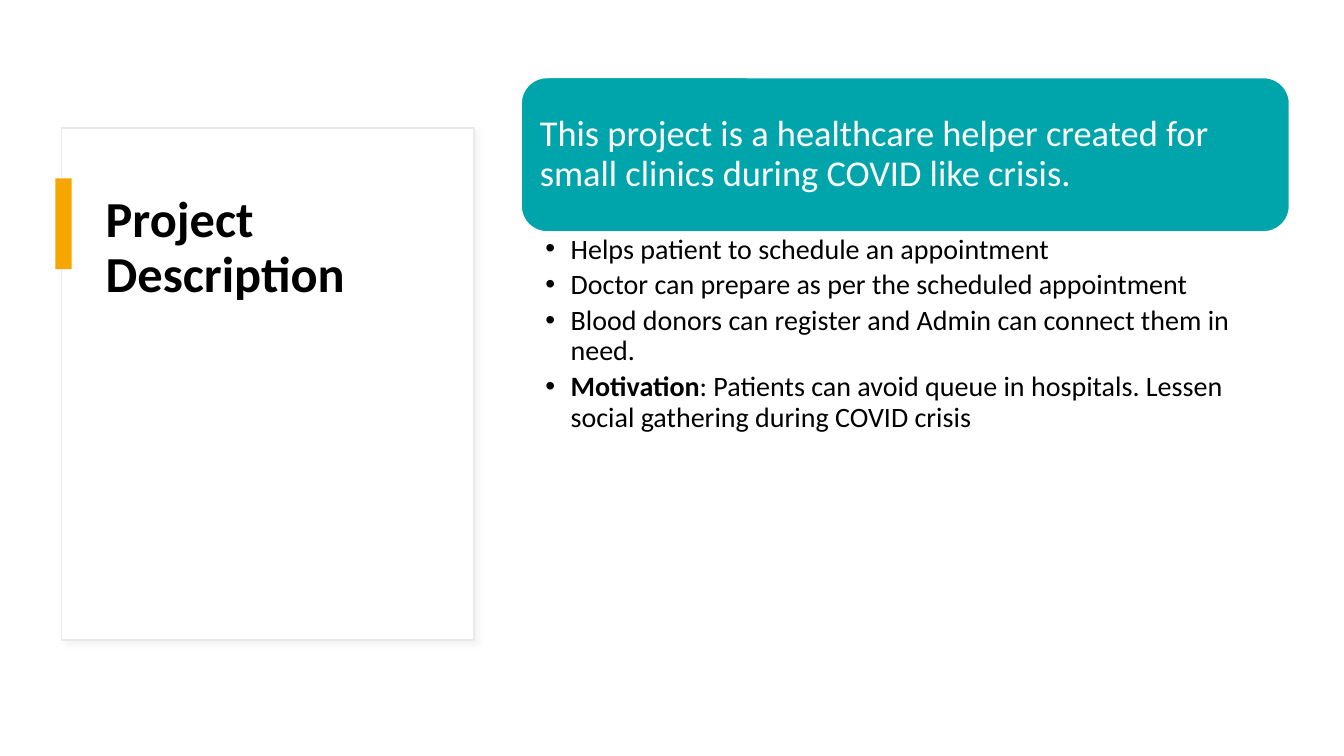
"""Build the project description slide: a titled card, a banner and a bullet list."""
from dataclasses import dataclass
from typing import Optional

from lxml.etree import SubElement
from pptx import Presentation
from pptx.dml.color import RGBColor
from pptx.enum.shapes import MSO_SHAPE
from pptx.enum.text import MSO_ANCHOR, PP_ALIGN
from pptx.oxml.ns import qn
from pptx.util import Emu, Inches, Pt

WHITE = RGBColor(0xFF, 0xFF, 0xFF)
BLACK = RGBColor(0x00, 0x00, 0x00)
TEAL = RGBColor(0x00, 0xA5, 0xAB)
AMBER = RGBColor(0xF5, 0xA7, 0x00)
PALE_GREY = RGBColor(0xE9, 0xE9, 0xE9)
SHADOW_GREY = RGBColor(0xD9, 0xD9, 0xD9)

SLIDE_WIDTH, SLIDE_HEIGHT = Inches(13.33), Inches(7.5)
FONT = "Calibri"
BULLET_INDENT = Inches(0.25)
RIGHT_COLUMN, RIGHT_WIDTH = 38.78, 57.16


@dataclass(frozen=True)
class Area:
    """A rectangle in percent of the slide's width and height."""
    left: float
    top: float
    width: float
    height: float

    def lengths(self) -> tuple:
        """Return left, top, width and height as slide lengths."""
        return (Emu(int(SLIDE_WIDTH * self.left / 100)),
                Emu(int(SLIDE_HEIGHT * self.top / 100)),
                Emu(int(SLIDE_WIDTH * self.width / 100)),
                Emu(int(SLIDE_HEIGHT * self.height / 100)))


@dataclass(frozen=True)
class Panel:
    """A filled shape with an optional outline."""
    area: Area
    fill: RGBColor
    line: Optional[RGBColor] = None
    preset: MSO_SHAPE = MSO_SHAPE.RECTANGLE


@dataclass(frozen=True)
class Style:
    """The look of a paragraph."""
    size: float
    color: RGBColor
    bold: bool = False
    space_after: float = 0


@dataclass(frozen=True)
class Bullet:
    """A list entry with an optional bold lead."""
    text: str
    lead: str = ""


CARD = Panel(Area(4.58, 16.93, 30.68, 67.73), WHITE, PALE_GREY)
ACCENT = Panel(Area(4.13, 23.6, 1.2, 12), AMBER)
BANNER = Panel(Area(RIGHT_COLUMN, 10.27, RIGHT_WIDTH, 20.4), TEAL, WHITE,
               MSO_SHAPE.ROUNDED_RECTANGLE)
TITLE_AREA = Area(7.13, 25.07, 25.43, 51.33)
LIST_AREA = Area(RIGHT_COLUMN, 30.53, RIGHT_WIDTH, 59.2)

TITLE_STYLE = Style(36, BLACK, bold=True)
BANNER_STYLE = Style(26, WHITE)
BULLET_STYLE = Style(20, BLACK, space_after=4)

TITLE = "Project Description"
SUMMARY = ("This project is a healthcare helper created for small clinics "
           "during COVID like crisis.")
BULLETS = (
    Bullet("Helps patient to schedule an appointment"),
    Bullet("Doctor can prepare as per the scheduled appointment"),
    Bullet("Blood donors can register and Admin can connect them in need."),
    Bullet(": Patients can avoid queue in hospitals. Lessen social gathering "
           "during COVID crisis", lead="Motivation"),
)


def add_panel(page, panel: Panel):
    """Draw a panel and return its shape."""
    shape = page.shapes.add_shape(panel.preset, *panel.area.lengths())
    shape.shadow.inherit = False
    shape.fill.solid()
    shape.fill.fore_color.rgb = panel.fill
    if panel.line is None:
        shape.line.fill.background()
    else:
        shape.line.color.rgb = panel.line
        shape.line.width = Pt(1)
    return shape


def add_soft_shadow(shape) -> None:
    """Give a shape a faint shadow towards the lower right."""
    effects = shape.element.spPr.find(qn("a:effectLst"))
    shadow = SubElement(effects, qn("a:outerShdw"), blurRad=str(Pt(4)),
                        dist=str(Pt(3)), dir=str(45 * 60000))
    color = SubElement(shadow, qn("a:srgbClr"), val=str(SHADOW_GREY))
    SubElement(color, qn("a:alpha"), val="30000")


def add_text_box(page, area: Area):
    """Add a wrapping text box and return its text frame."""
    frame = page.shapes.add_textbox(*area.lengths()).text_frame
    frame.word_wrap = True
    return frame


def set_margins(frame, left: float, top: float, right: float, bottom: float) -> None:
    """Set a text frame's margins in inches."""
    frame.margin_left, frame.margin_top = Inches(left), Inches(top)
    frame.margin_right, frame.margin_bottom = Inches(right), Inches(bottom)


def format_paragraph(para, style: Style) -> None:
    """Apply a style to a paragraph and all its runs."""
    para.alignment = PP_ALIGN.LEFT
    para.line_spacing = 0.9
    para.space_after = Pt(style.space_after)
    for span in para.runs:
        span.font.name = FONT
        span.font.size = Pt(style.size)
        span.font.bold = style.bold
        span.font.color.rgb = style.color


def write_bullet(para, bullet: Bullet) -> None:
    """Write one list entry with a hanging bullet."""
    para.text = bullet.lead or bullet.text
    if bullet.lead:
        para.add_run().text = bullet.text
    format_paragraph(para, BULLET_STYLE)
    para.runs[0].font.bold = bool(bullet.lead)
    properties = para._p.get_or_add_pPr()
    properties.set("marL", str(BULLET_INDENT))
    properties.set("indent", str(-BULLET_INDENT))
    SubElement(properties, qn("a:buFont"), typeface="Arial")
    SubElement(properties, qn("a:buChar"), char="•")


def add_title(page) -> None:
    """Draw the card, its title and the accent bar."""
    add_soft_shadow(add_panel(page, CARD))
    frame = add_text_box(page, TITLE_AREA)
    frame.text = TITLE
    format_paragraph(frame.paragraphs[0], TITLE_STYLE)
    add_panel(page, ACCENT)


def add_banner(page) -> None:
    """Draw the banner with the project summary."""
    frame = add_panel(page, BANNER).text_frame
    frame.word_wrap = True
    frame.vertical_anchor = MSO_ANCHOR.MIDDLE
    set_margins(frame, 0.11, 0.11, 0.11, 0.11)
    frame.text = SUMMARY
    format_paragraph(frame.paragraphs[0], BANNER_STYLE)


def add_bullets(page) -> None:
    """Draw the bullet list under the banner."""
    frame = add_text_box(page, LIST_AREA)
    set_margins(frame, 0.24, 0.04, 0.2, 0.04)
    for index, bullet in enumerate(BULLETS):
        write_bullet(frame.add_paragraph() if index else frame.paragraphs[0], bullet)


def main() -> None:
    """Build and save the deck."""
    deck = Presentation()
    deck.slide_width, deck.slide_height = SLIDE_WIDTH, SLIDE_HEIGHT
    page = deck.slides.add_slide(deck.slide_layouts[6])
    add_title(page)
    add_banner(page)
    add_bullets(page)
    deck.save("out.pptx")


if __name__ == "__main__":
    main()
